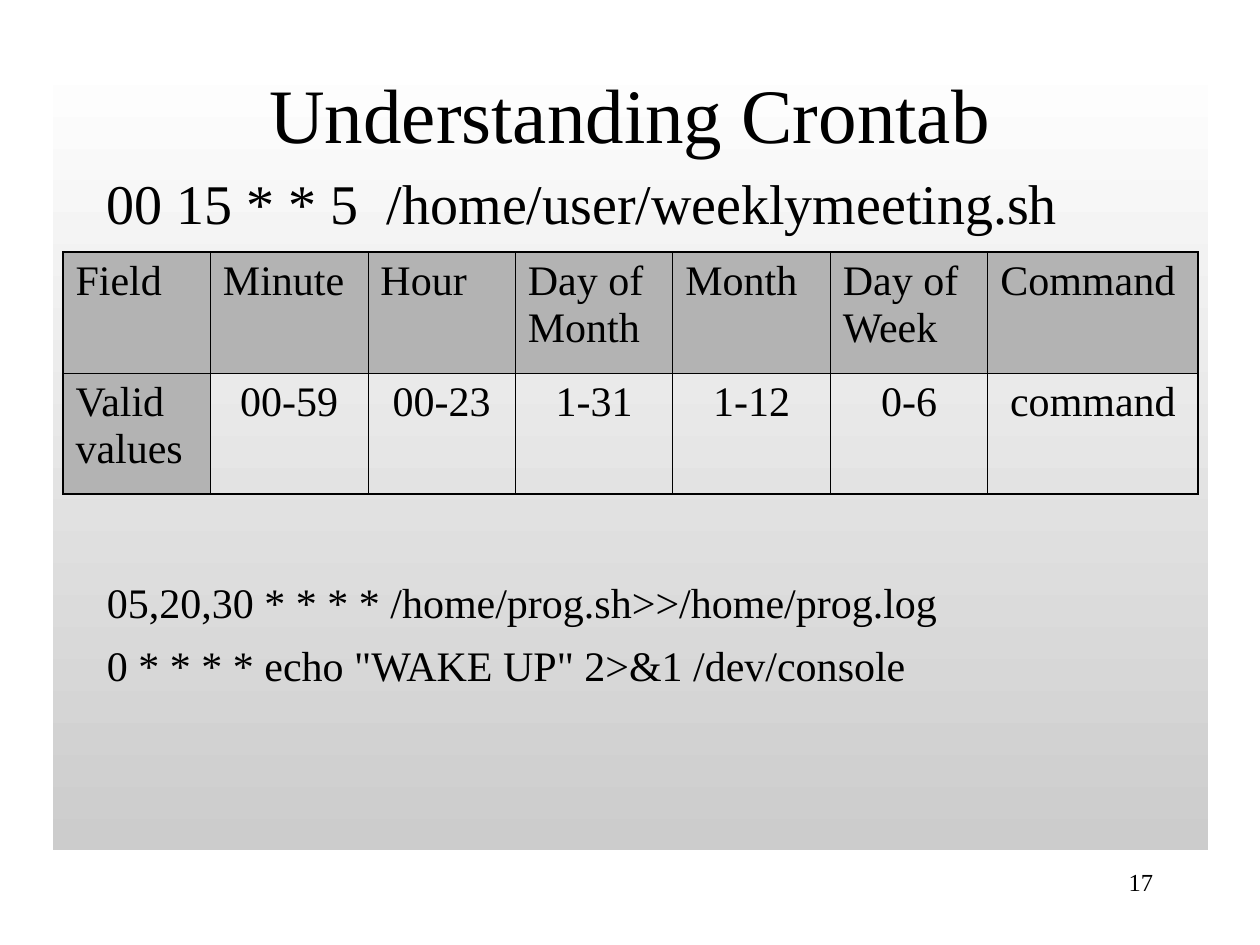
from lxml.etree import SubElement
from pptx import Presentation
from pptx.dml.color import RGBColor
from pptx.enum.shapes import MSO_SHAPE
from pptx.enum.text import PP_ALIGN
from pptx.oxml.ns import qn
from pptx.util import Inches, Pt

FONT = "Times New Roman"
COLOURS = {"text": "000000", "border": "000000", "header": "B3B3B3",
           "panel_top": "FFFFFF", "panel_bottom": "CCCCCC"}
OUTER_BORDER, INNER_BORDER = Pt(1.08), Pt(0.45)

COLUMN_WIDTHS = [1.17, 1.25, 1.17, 1.25, 1.25, 1.25, 1.67]
CRON_FIELDS = [
    ["Field", "Minute", "Hour", "Day of Month", "Month", "Day of Week", "Command"],
    ["Valid values", "00-59", "00-23", "1-31", "1-12", "0-6", "command"],
]
# Text, size and space before, in points
CRONTAB_LINES = [
    ("00 15 * * 5  /home/user/weeklymeeting.sh", 32, 0),
    ("05,20,30 * * * * /home/prog.sh>>/home/prog.log", 24, 194.5),
    ('0 * * * * echo "WAKE UP" 2>&1 /dev/console', 24, 7.3),
]


def colour(name):
    return RGBColor.from_string(COLOURS[name])


def format_paragraph(paragraph, size, alignment=PP_ALIGN.LEFT, space_before=0):
    paragraph.alignment = alignment
    paragraph.space_before = Pt(space_before)
    for run in paragraph.runs:
        run.font.name = FONT
        run.font.size = Pt(size)
        run.font.color.rgb = colour("text")


def add_panel(slide, left, top, width, height):
    """Add the backdrop that shades from white down to grey."""
    panel = slide.shapes.add_shape(MSO_SHAPE.RECTANGLE, left, top, width, height)
    panel.shadow.inherit = False
    panel.line.fill.background()
    panel.fill.gradient()
    panel.fill.gradient_angle = 270
    for stop, position, name in zip(panel.fill.gradient_stops, (0, 1),
                                    ("panel_top", "panel_bottom")):
        stop.position = position
        stop.color.rgb = colour(name)


def add_text(slide, left, top, width, height, lines, alignment=PP_ALIGN.LEFT):
    """Add a text box with one paragraph for each (text, size, space before)."""
    text_frame = slide.shapes.add_textbox(left, top, width, height).text_frame
    text_frame.word_wrap = True
    text_frame.text = "\n".join(text for text, _, _ in lines)
    for paragraph, (_, size, space_before) in zip(text_frame.paragraphs, lines):
        format_paragraph(paragraph, size, alignment, space_before)


def set_borders(cell, widths):
    """Draw the cell's left, right, top and bottom borders."""
    properties = cell._tc.get_or_add_tcPr()
    for side, width in zip("LRTB", widths):
        line = SubElement(properties, qn(f"a:ln{side}"), w=str(width))
        fill = SubElement(line, qn("a:solidFill"))
        SubElement(fill, qn("a:srgbClr"), val=COLOURS["border"])


def add_field_table(slide, left, top, width, height):
    row_count, column_count = len(CRON_FIELDS), len(COLUMN_WIDTHS)
    table = slide.shapes.add_table(row_count, column_count, left, top, width, height).table
    table.first_row = table.horz_banding = False
    for column, column_width in zip(table.columns, COLUMN_WIDTHS):
        column.width = Inches(column_width)
    for r, texts in enumerate(CRON_FIELDS):
        for c, text in enumerate(texts):
            cell = table.cell(r, c)
            on_edge = (c == 0, c == column_count - 1, r == 0, r == row_count - 1)
            set_borders(cell, [OUTER_BORDER if edge else INNER_BORDER for edge in on_edge])
            is_header = r == 0 or c == 0
            if is_header:
                cell.fill.solid()
                cell.fill.fore_color.rgb = colour("header")
            else:
                cell.fill.background()
            cell.text_frame.text = text
            format_paragraph(cell.text_frame.paragraphs[0], 24,
                             PP_ALIGN.LEFT if is_header else PP_ALIGN.CENTER, 6)


def main():
    presentation = Presentation()
    presentation.slide_width, presentation.slide_height = Inches(10), Inches(7.5)
    slide = presentation.slides.add_slide(presentation.slide_layouts[6])
    add_panel(slide, Inches(0.42), Inches(0.42), Inches(9.17), Inches(6.33))
    add_text(slide, Inches(0.75), Inches(0.48), Inches(8.5), Inches(0.75),
             [("Understanding Crontab", 44, 0)], PP_ALIGN.CENTER)
    add_text(slide, Inches(0.75), Inches(1.29), Inches(8.5), Inches(5.42), CRONTAB_LINES)
    add_field_table(slide, Inches(0.5), Inches(2), Inches(9), Inches(1.92))
    add_text(slide, Inches(7.17), Inches(6.83), Inches(2.08), Inches(0.5),
             [("17", 14, 0)], PP_ALIGN.RIGHT)
    presentation.save("out.pptx")


if __name__ == "__main__":
    main()
